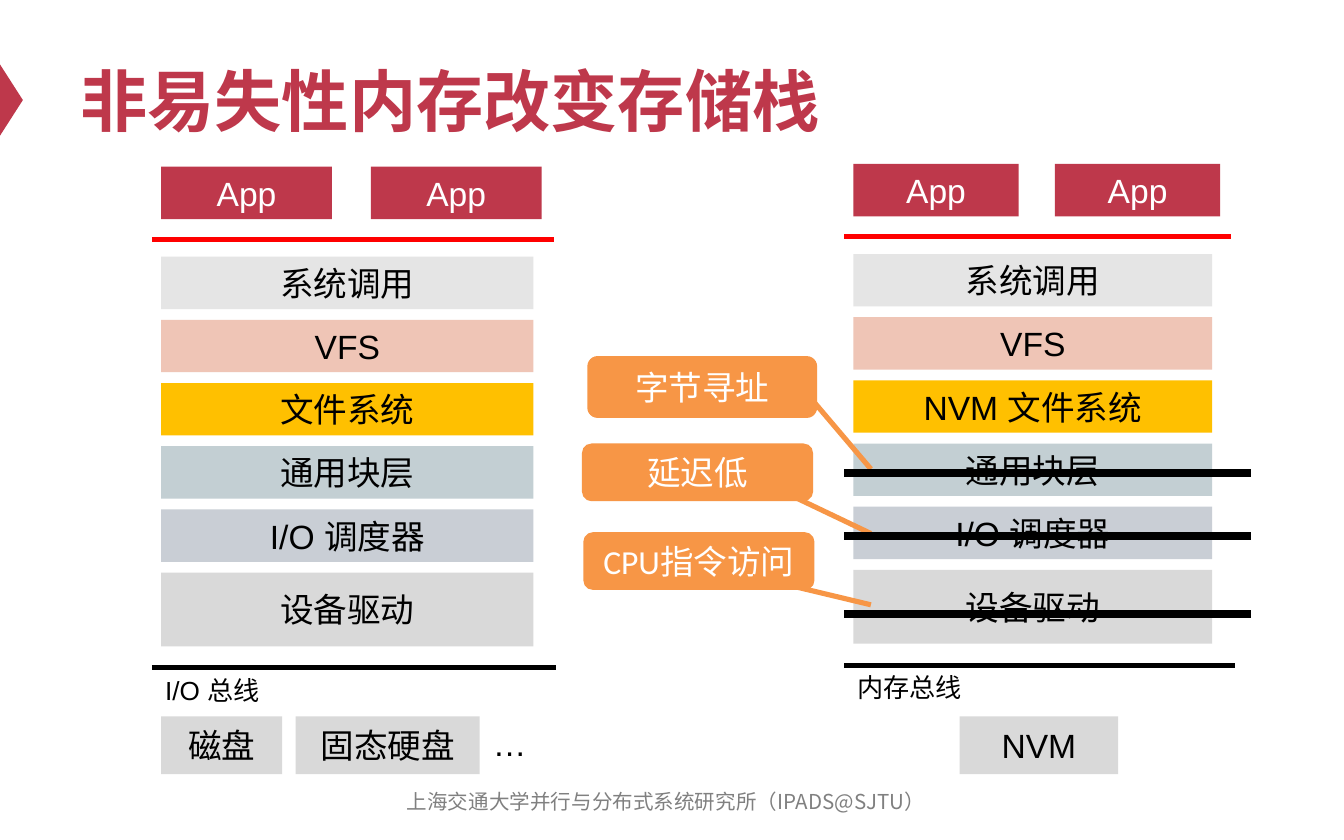
from lxml import etree
from pptx import Presentation
from pptx.dml.color import RGBColor
from pptx.enum.shapes import MSO_CONNECTOR, MSO_SHAPE
from pptx.enum.text import MSO_ANCHOR, PP_ALIGN
from pptx.oxml.ns import qn
from pptx.util import Inches, Pt

RECT = MSO_SHAPE.RECTANGLE
ROUNDED = MSO_SHAPE.ROUNDED_RECTANGLE
TRIANGLE = MSO_SHAPE.ISOSCELES_TRIANGLE
STRAIGHT = MSO_CONNECTOR.STRAIGHT
MIDDLE, TOP = MSO_ANCHOR.MIDDLE, MSO_ANCHOR.TOP
CENTER, LEFT = PP_ALIGN.CENTER, PP_ALIGN.LEFT

CJK_FONT = "Noto Sans CJK SC"
COLORS = {
    "crimson": "BE384B", "white": "FFFFFF", "black": "000000", "red": "FF0000",
    "syscall": "E5E5E5", "vfs": "EFC5B6", "filesystem": "FFC000",
    "block": "C3CFD3", "scheduler": "C9CED5", "device": "D9D9D9",
    "callout": "F79646", "footer": "808080",
}
LAYER_COLORS = ["syscall", "vfs", "filesystem", "block", "scheduler", "device"]
LAYER_PITCH = 0.47
LAYER_HEIGHT = 0.39
DRIVER_HEIGHT = 0.55
DEVICE_TOP = 5.33
DEVICE_HEIGHT = 0.43


def rgb(color):
    return RGBColor.from_string(COLORS[color])


def write(shape, text, size, color, font="Arial", bold=False, align=CENTER,
          anchor=MIDDLE, wrap=False):
    frame = shape.text_frame
    frame.text = text
    frame.word_wrap = wrap
    frame.vertical_anchor = anchor
    paragraph = frame.paragraphs[0]
    paragraph.alignment = align
    run = paragraph.runs[0]
    run.font.size = Pt(size)
    run.font.bold = bold
    run.font.color.rgb = rgb(color)
    run.font.name = font
    east_asian = etree.SubElement(run.font._element, qn("a:ea"))
    east_asian.set("typeface", CJK_FONT)


def add_block(slide, left, top, width, height, fill, kind=RECT):
    block = slide.shapes.add_shape(
        kind, Inches(left), Inches(top), Inches(width), Inches(height))
    block.shadow.inherit = False
    block.fill.solid()
    block.fill.fore_color.rgb = rgb(fill)
    block.line.fill.background()
    return block


def add_label(slide, left, top, width, height, text, size, color, **style):
    label = slide.shapes.add_textbox(
        Inches(left), Inches(top), Inches(width), Inches(height))
    write(label, text, size, color, wrap=True, **style)


def add_line(slide, start, end, color, weight):
    line = slide.shapes.add_connector(
        STRAIGHT, Inches(start[0]), Inches(start[1]), Inches(end[0]), Inches(end[1]))
    line.line.color.rgb = rgb(color)
    line.line.width = Pt(weight)
    etree.SubElement(line._element.spPr, qn("a:effectLst"))


def add_stack(slide, left, top, app_width, app_pitch, layer_width, layers,
              user_end, bus_end, bus_name, bus_name_width):
    """Apps, the kernel boundary, the kernel layers and the bus below them."""
    for i in range(2):
        app = add_block(slide, left + i * app_pitch, top, app_width,
                        LAYER_HEIGHT, "crimson")
        write(app, "App", 18, "white")

    for i, (name, color) in enumerate(zip(layers, LAYER_COLORS)):
        height = DRIVER_HEIGHT if color == "device" else LAYER_HEIGHT
        layer = add_block(slide, left, top + 0.67 + i * LAYER_PITCH,
                          layer_width, height, color)
        write(layer, name, 18, "black")

    line_left, boundary, bus = left - 0.07, top + 0.54, top + 3.73
    add_line(slide, (line_left, boundary), (user_end, boundary), "red", 2.5)
    add_line(slide, (line_left, bus), (bus_end, bus), "black", 2.75)
    add_label(slide, line_left, bus, bus_name_width, 0.34, bus_name, 14, "black",
              align=LEFT, anchor=TOP)


def add_device(slide, left, width, name):
    device = add_block(slide, left, DEVICE_TOP, width, DEVICE_HEIGHT, "device")
    write(device, name, 18, "black")


def add_callout(slide, left, top, width, height, text, start, end):
    callout = add_block(slide, left, top, width, height, "callout", ROUNDED)
    write(callout, text, 18, "white", font="Calibri")
    add_line(slide, start, end, "callout", 2.75)


def main():
    prs = Presentation()
    prs.slide_width, prs.slide_height = Inches(10), Inches(6.25)
    slide = prs.slides.add_slide(prs.slide_layouts[6])

    # Title with its marker at the slide edge
    marker = add_block(slide, -0.18, 0.66, 0.53, 0.17, "crimson", TRIANGLE)
    marker.rotation = 90
    add_label(slide, 0.5, 0.25, 9, 0.98, "非易失性内存改变存储栈", 36, "crimson",
              bold=True, align=LEFT)

    # Traditional storage stack
    add_stack(slide, 1.2, 1.24, 1.27, 1.56, 2.77,
              ["系统调用", "VFS", "文件系统", "通用块层", "I/O 调度器", "设备驱动"],
              4.12, 4.14, "I/O 总线", 1.07)
    add_device(slide, 1.2, 0.9, "磁盘")
    add_device(slide, 2.2, 1.37, "固态硬盘")
    add_label(slide, 3.57, DEVICE_TOP, 0.57, 0.4, "…", 18, "black",
              align=LEFT, anchor=TOP)

    # Storage stack on non-volatile memory
    add_stack(slide, 6.35, 1.22, 1.23, 1.5, 2.67,
              ["系统调用", "VFS", "NVM 文件系统", "通用块层", "I/O 调度器", "设备驱动"],
              9.16, 9.19, "内存总线", 1.02)
    add_device(slide, 7.14, 1.18, "NVM")

    # Reasons why layers disappear
    add_callout(slide, 4.37, 2.65, 1.71, 0.46, "字节寻址", (5.92, 2.83), (6.48, 3.49))
    add_callout(slide, 4.33, 3.3, 1.72, 0.43, "延迟低", (5.6, 3.55), (6.48, 3.97))
    add_callout(slide, 4.34, 3.96, 1.72, 0.43, "CPU指令访问", (5.6, 4.29), (6.48, 4.5))

    # Strike out the removed layers
    for y in (3.52, 3.99, 4.57):
        add_line(slide, (6.28, y), (9.31, y), "black", 4)

    # Footer
    add_label(slide, 2.79, 5.8, 4.33, 0.33, "上海交通大学并行与分布式系统研究所（IPADS@SJTU）",
              11, "footer", font=CJK_FONT)

    prs.save("out.pptx")


if __name__ == "__main__":
    main()
